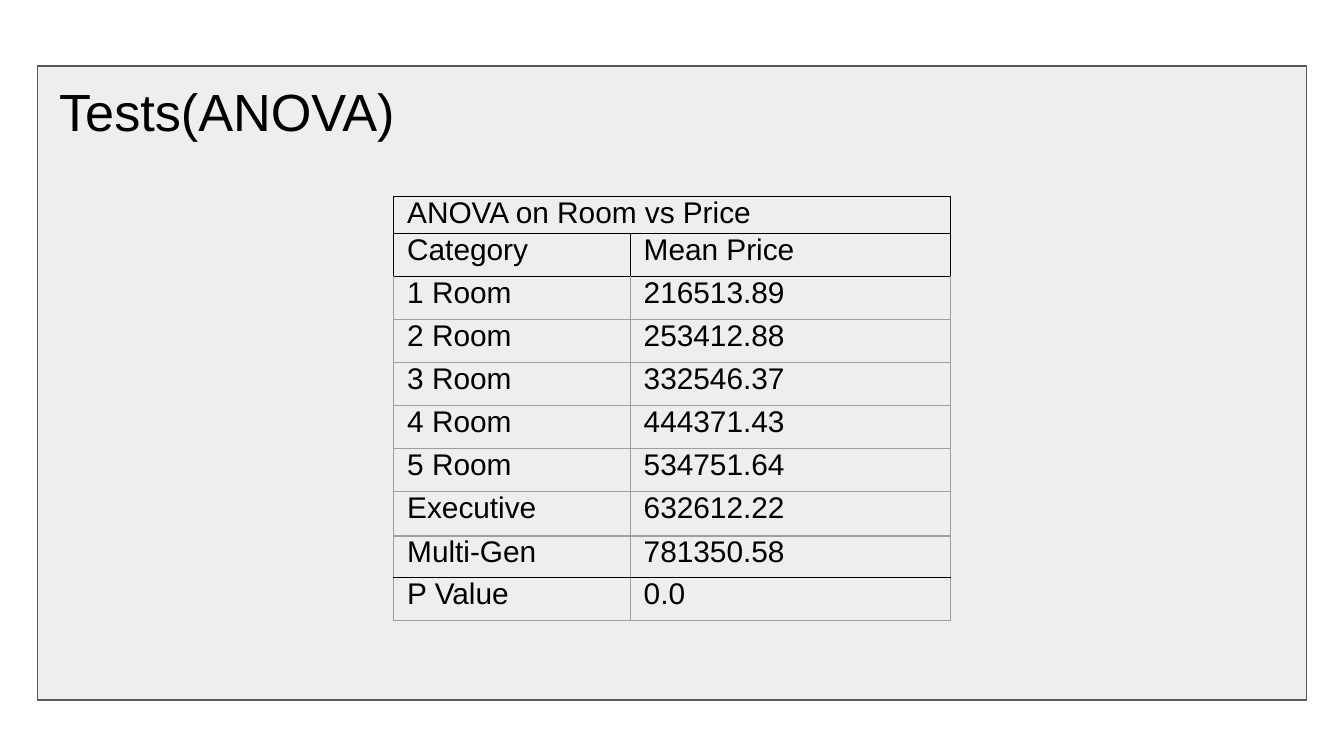
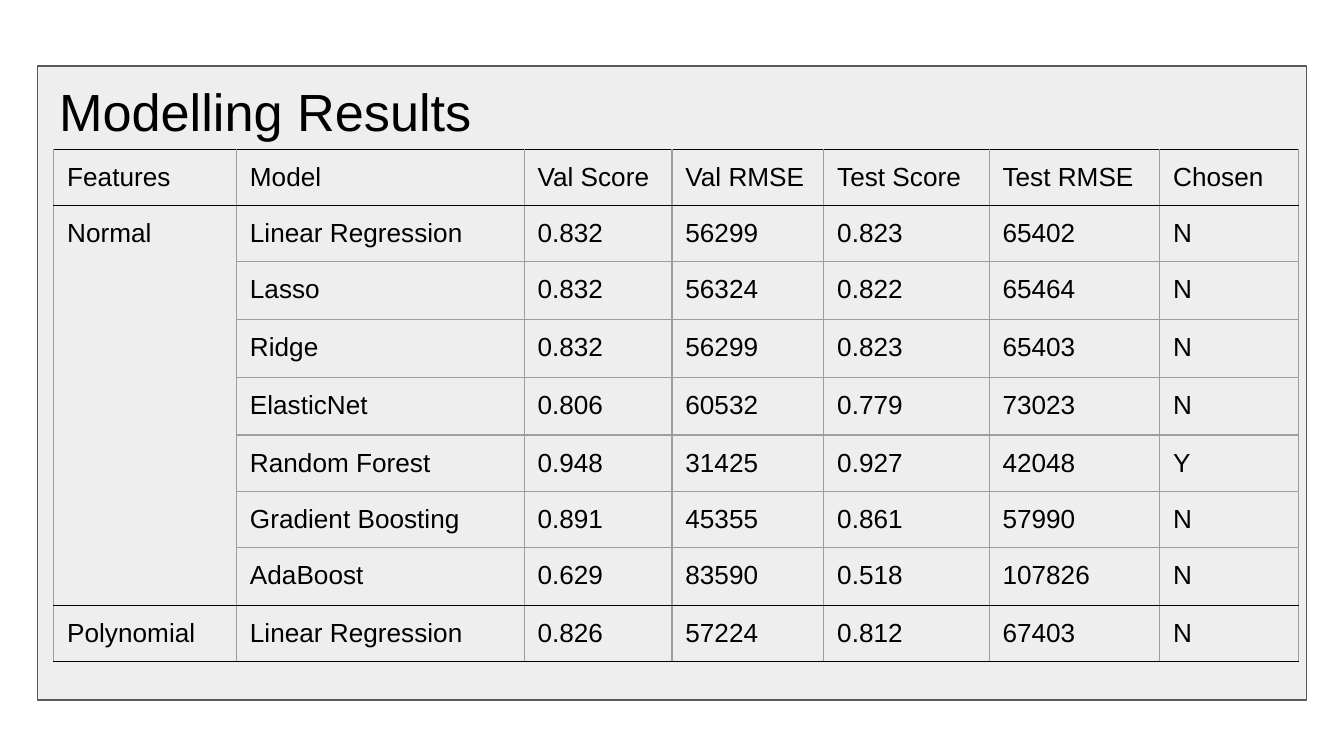
from dataclasses import dataclass

from lxml.etree import SubElement
from pptx import Presentation
from pptx.dml.color import RGBColor
from pptx.enum.shapes import MSO_SHAPE as Shape
from pptx.enum.text import MSO_ANCHOR as Anchor, MSO_AUTO_SIZE as AutoSize, PP_ALIGN as Align
from pptx.oxml.ns import qn
from pptx.util import Inches, Pt

COLORS = {"panel": "EEEEEE", "outline": "595959", "text": "000000",
          "grid": "9E9E9E", "rule": "000000"}
FONT = "Arial"
LINE_WIDTH = Pt(0.75)
MARGIN = Inches(0.1)
NO_STYLE = "{2D5ABB26-0587-4C30-8999-92F81FD0307C}"


@dataclass(frozen=True)
class ResultTable:
    left: float
    top: float
    widths: list[float]
    heights: list[float]
    rows: list[list[str]]
    merge: tuple[int, int, int, int]  # first row, first column, last row, last column
    rules: set[int]  # horizontal edges drawn dark, counted from the top
    boxed_rows: int  # leading rows whose vertical edges are dark too
    size: int
    padding: float  # above and below the text


@dataclass(frozen=True)
class ResultSlide:
    title: str
    table: ResultTable


def color(name: str) -> RGBColor:
    return RGBColor.from_string(COLORS[name])


def style_text(frame, size: int) -> None:
    for paragraph in frame.paragraphs:
        paragraph.alignment = Align.LEFT
        paragraph.font.name = FONT
        paragraph.font.size = Pt(size)
        paragraph.font.color.rgb = color("text")


def add_panel(slide) -> None:
    panel = slide.shapes.add_shape(
        Shape.RECTANGLE, Inches(0.28), Inches(0.49), Inches(9.44), Inches(4.72))
    panel.shadow.inherit = False
    panel.fill.solid()
    panel.fill.fore_color.rgb = color("panel")
    panel.line.color.rgb = color("outline")
    panel.line.width = LINE_WIDTH


def set_title(slide, text: str) -> None:
    title = slide.shapes.title
    title.left, title.top = Inches(0.34), Inches(0.49)
    title.width, title.height = Inches(9.32), Inches(0.63)
    frame = title.text_frame
    frame.text = text
    frame.word_wrap = True
    frame.auto_size = AutoSize.NONE
    frame.vertical_anchor = Anchor.TOP
    frame.margin_left = frame.margin_right = MARGIN
    frame.margin_top = frame.margin_bottom = MARGIN
    style_text(frame, 28)
    # Bring the title in front of the panel
    slide.shapes._spTree.append(title._element)


def set_borders(cell, edges: dict[str, str]) -> None:
    properties = cell._tc.get_or_add_tcPr()
    for position, (side, name) in enumerate(edges.items()):
        line = SubElement(properties, qn(f"a:ln{side}"), w=str(LINE_WIDTH))
        fill = SubElement(line, qn("a:solidFill"))
        SubElement(fill, qn("a:srgbClr"), val=COLORS[name])
        properties.insert(position, line)


def add_result_table(slide, data: ResultTable) -> None:
    table = slide.shapes.add_table(
        len(data.rows), len(data.widths), Inches(data.left), Inches(data.top),
        Inches(sum(data.widths)), Inches(sum(data.heights))).table
    table.first_row = table.horz_banding = False
    table._tbl.tblPr.find(qn("a:tableStyleId")).text = NO_STYLE
    for column, width in zip(table.columns, data.widths):
        column.width = Inches(width)
    for row, height in zip(table.rows, data.heights):
        row.height = Inches(height)
    first_row, first_column, last_row, last_column = data.merge
    table.cell(first_row, first_column).merge(table.cell(last_row, last_column))

    for r, texts in enumerate(data.rows):
        for c, text in enumerate(texts):
            cell = table.cell(r, c)
            cell.fill.background()
            cell.margin_left = cell.margin_right = MARGIN
            cell.margin_top = cell.margin_bottom = Inches(data.padding)
            if cell.is_spanned:
                continue
            cell.text = text
            style_text(cell.text_frame, data.size)
            bottom = r + (cell.span_height if cell.is_merge_origin else 1)
            side = "rule" if r < data.boxed_rows else "grid"
            set_borders(cell, {
                "L": side, "R": side,
                "T": "rule" if r in data.rules else "grid",
                "B": "rule" if bottom in data.rules else "grid"})


ANOVA = ResultTable(
    left=2.93, top=1.46, widths=[1.76, 2.38],
    heights=[0.28] + [0.32] * 6 + [0.33, 0.31, 0.32],
    rows=[
        ["ANOVA on Room vs Price", ""],
        ["Category", "Mean Price"],
        ["1 Room", "216513.89"],
        ["2 Room", "253412.88"],
        ["3 Room", "332546.37"],
        ["4 Room", "444371.43"],
        ["5 Room", "534751.64"],
        ["Executive", "632612.22"],
        ["Multi-Gen", "781350.58"],
        ["P Value", "0.0"],
    ],
    merge=(0, 0, 0, 1), rules={0, 1, 2, 9}, boxed_rows=2, size=16, padding=0)

MODELS = ResultTable(
    left=0.4, top=1.11, widths=[1.36, 2.14, 1.1, 1.13, 1.23, 1.27, 1.03],
    heights=[0.38, 0.41, 0.43, 0.43, 0.43, 0.4, 0.4, 0.43, 0.41],
    rows=[
        ["Features", "Model", "Val Score", "Val RMSE", "Test Score", "Test RMSE", "Chosen"],
        ["Normal", "Linear Regression", "0.832", "56299", "0.823", "65402", "N"],
        ["", "Lasso", "0.832", "56324", "0.822", "65464", "N"],
        ["", "Ridge", "0.832", "56299", "0.823", "65403", "N"],
        ["", "ElasticNet", "0.806", "60532", "0.779", "73023", "N"],
        ["", "Random Forest", "0.948", "31425", "0.927", "42048", "Y"],
        ["", "Gradient Boosting", "0.891", "45355", "0.861", "57990", "N"],
        ["", "AdaBoost", "0.629", "83590", "0.518", "107826", "N"],
        ["Polynomial", "Linear Regression", "0.826", "57224", "0.812", "67403", "N"],
    ],
    merge=(1, 0, 7, 0), rules={0, 1, 8, 9}, boxed_rows=0, size=14, padding=0.1)

SLIDES = [ResultSlide("Tests(ANOVA)", ANOVA), ResultSlide("Modelling Results", MODELS)]


def main() -> None:
    deck = Presentation()
    # Widescreen, 16:9
    deck.slide_width = Inches(10)
    deck.slide_height = Inches(10) * 9 // 16
    title_only = deck.slide_layouts[5]
    for content in SLIDES:
        slide = deck.slides.add_slide(title_only)
        add_panel(slide)
        set_title(slide, content.title)
        add_result_table(slide, content.table)
    deck.save("out.pptx")


if __name__ == "__main__":
    main()
